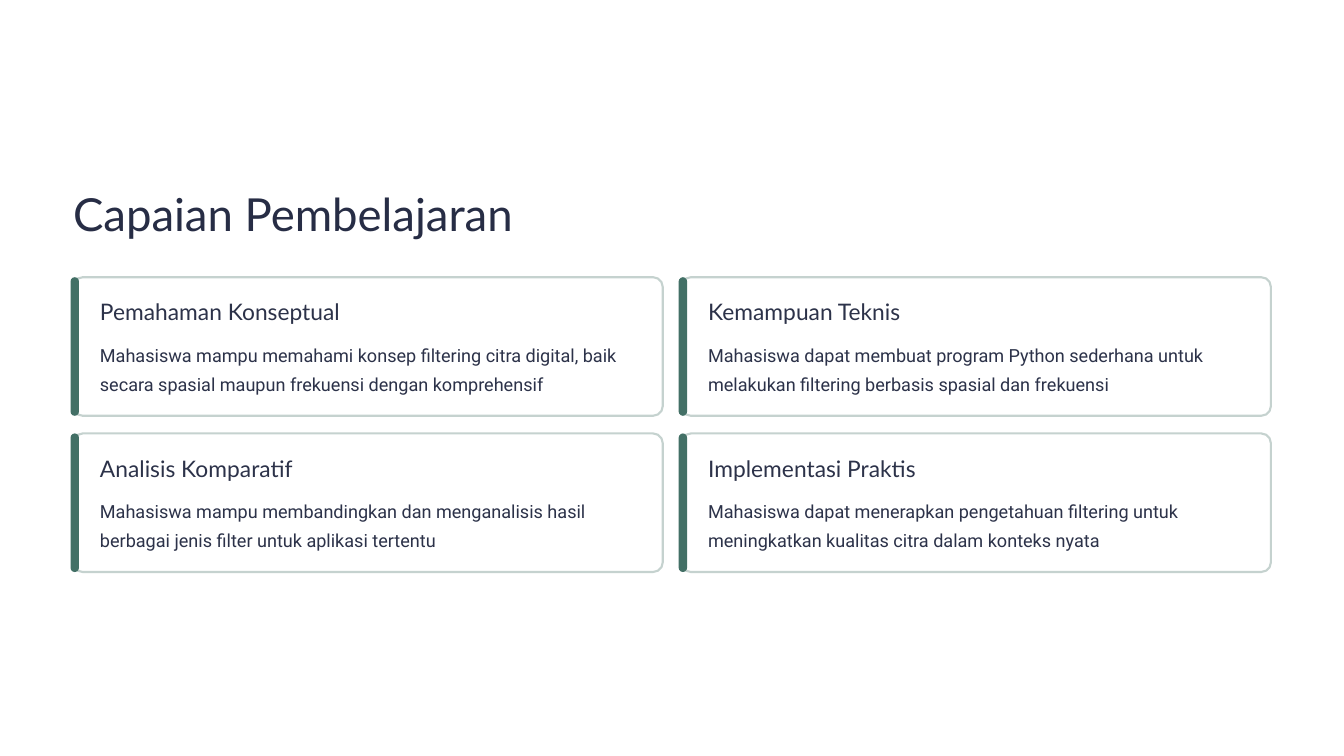
import pptx
import pptx.dml.color
import pptx.enum.shapes
import pptx.enum.text
import pptx.util

PX = 9144  # 100 px to the inch
COLORS = {
    "paper": "FFFFFF",
    "title": "272D45",
    "body": "2C3249",
    "border": "C5D2CF",
    "accent": "437066",
}
OUTCOMES = [
    ("Pemahaman Konseptual",
     "Mahasiswa mampu memahami konsep filtering citra digital, baik "
     "secara spasial maupun frekuensi dengan komprehensif"),
    ("Kemampuan Teknis",
     "Mahasiswa dapat membuat program Python sederhana untuk "
     "melakukan filtering berbasis spasial dan frekuensi"),
    ("Analisis Komparatif",
     "Mahasiswa mampu membandingkan dan menganalisis hasil "
     "berbagai jenis filter untuk aplikasi tertentu"),
    ("Implementasi Praktis",
     "Mahasiswa dapat menerapkan pengetahuan filtering untuk "
     "meningkatkan kualitas citra dalam konteks nyata"),
]
CARD_LEFT, CARD_TOP, CARD_WIDTH, CARD_HEIGHT = 87, 330, 702, 165
COLUMN_STEP, ROW_STEP = 724, 186


def rgb(name):
    return pptx.dml.color.RGBColor.from_string(COLORS[name])


def add_text(box, text, font, size, color, spacing, wrap=False):
    """Place a text box without insets; box is left, top, width, height in px."""
    frame = slide.shapes.add_textbox(*(n * PX for n in box)).text_frame
    frame.margin_left = frame.margin_top = frame.margin_right = frame.margin_bottom = 0
    frame.word_wrap = wrap
    frame.vertical_anchor = pptx.enum.text.MSO_ANCHOR.TOP
    frame.text = text
    paragraph = frame.paragraphs[0]
    paragraph.line_spacing = pptx.util.Pt(spacing)
    run_font = paragraph.runs[0].font
    run_font.name = font
    run_font.size = pptx.util.Pt(size)
    run_font.color.rgb = rgb(color)


deck = pptx.Presentation()
deck.slide_width, deck.slide_height = 1600 * PX, 900 * PX
slide = deck.slides.add_slide(deck.slide_layouts[6])
slide.background.fill.solid()
slide.background.fill.fore_color.rgb = rgb("paper")

add_text((87, 219, 543, 68), "Capaian Pembelajaran", "Lato", 39, "title", 48.5)

for index, (heading, description) in enumerate(OUTCOMES):
    row, column = divmod(index, 2)
    left = CARD_LEFT + column * COLUMN_STEP
    top = CARD_TOP + row * ROW_STEP

    # Card first, then the accent bar over its left edge
    for x, width, rounding, fill in (
        (left, CARD_WIDTH, 0.07, "paper"),
        (left - 3, 10, 0.5, "accent"),
    ):
        panel = slide.shapes.add_shape(
            pptx.enum.shapes.MSO_SHAPE.ROUNDED_RECTANGLE,
            x * PX, top * PX, width * PX, CARD_HEIGHT * PX)
        panel.adjustments[0] = rounding
        panel.shadow.inherit = False
        panel.fill.solid()
        panel.fill.fore_color.rgb = rgb(fill)
        if fill == "paper":
            panel.line.color.rgb = rgb("border")
            panel.line.width = pptx.util.Pt(1.8)
        else:
            panel.line.fill.background()

    add_text((left + 32, top + 24, 291, 34), heading, "Lato", 19.5, "body", 24)
    add_text((left + 32, top + 71, 646, 69), description, "Roboto", 15.5, "body", 25,
             wrap=True)

deck.save("out.pptx")
